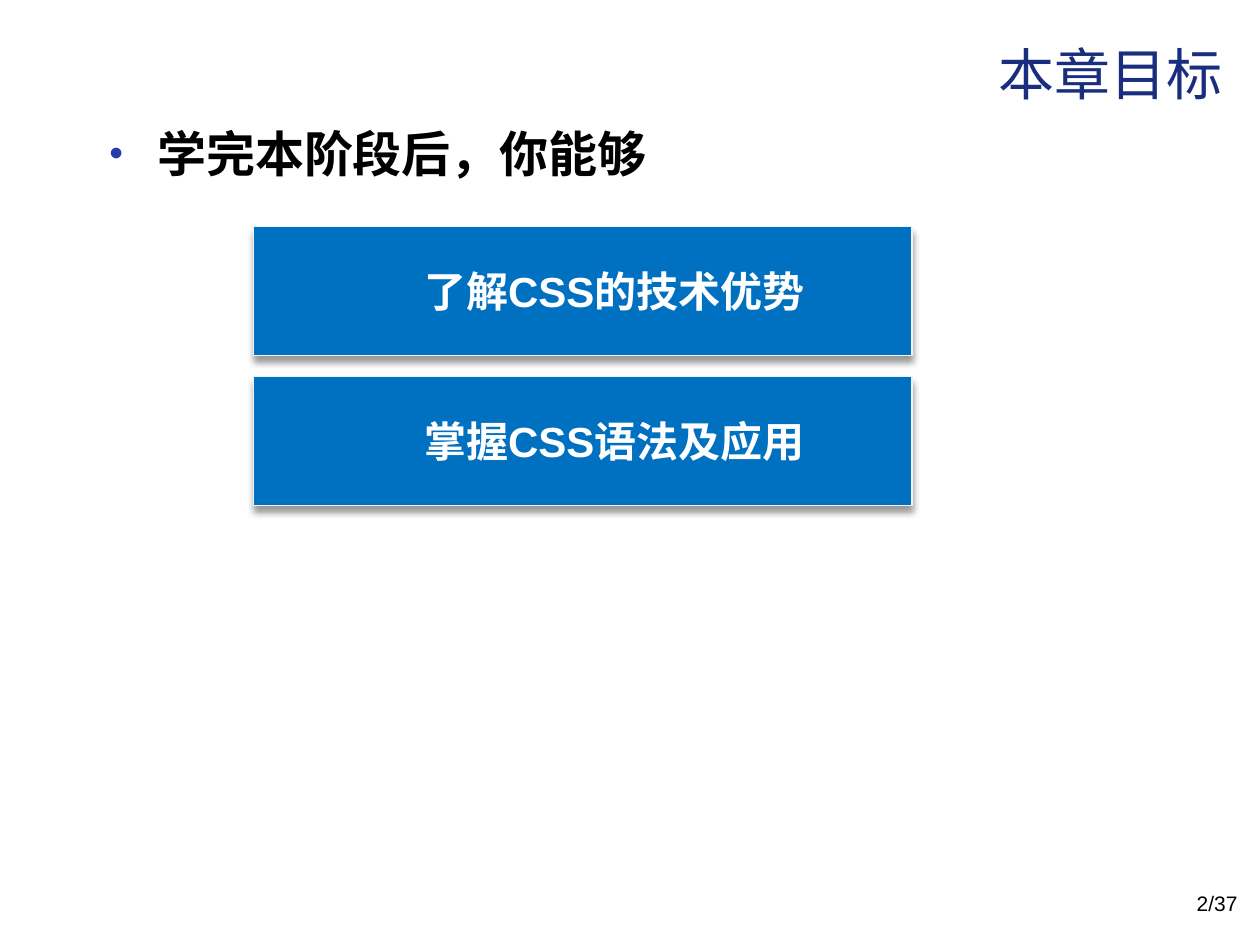
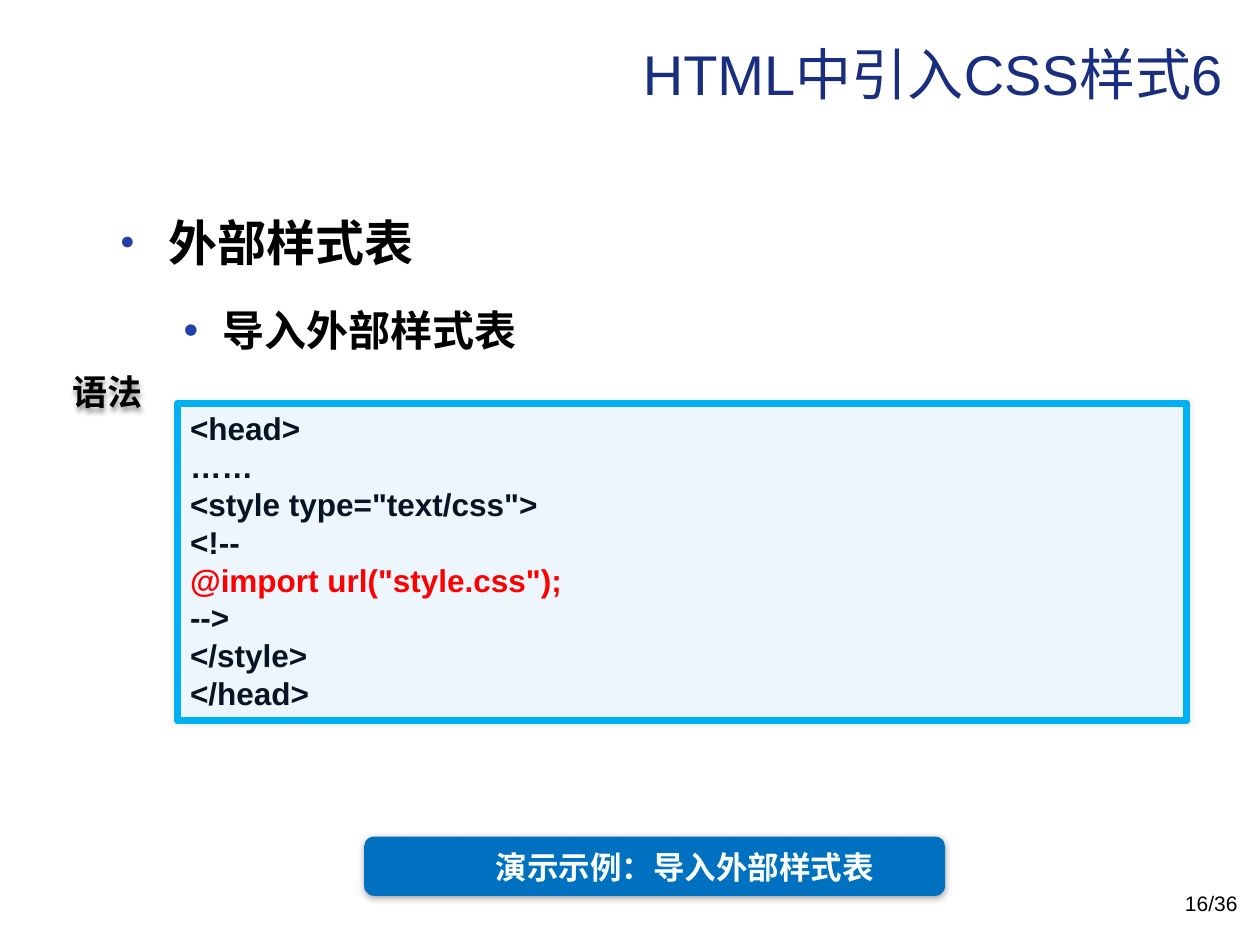
from dataclasses import dataclass
from typing import Optional

from lxml import etree
from pptx import Presentation
from pptx.dml.color import RGBColor
from pptx.enum.shapes import MSO_SHAPE as Preset
from pptx.enum.text import MSO_ANCHOR as Anchor, PP_ALIGN as Align
from pptx.oxml.ns import qn
from pptx.util import Emu, Pt

EMU_PER_PX = 9144  # 100 px to the inch
COLORS = {
    "title": "1A2E7F", "text": "000000", "bullet": "233DA9", "white": "FFFFFF",
    "button_text": "FBFFFE", "blue": "0070C0", "card_line": "F2F2F2",
    "code_fill": "EDF5FD", "code_line": "00B0F0", "code": "071424",
    "highlight": "FF0000", "soft_black": "262626",
}
LATIN, CJK = "Arial", "Noto Sans CJK SC"


@dataclass(frozen=True)
class Area:
    left: int
    top: int
    width: int
    height: int


@dataclass(frozen=True)
class Style:
    size: int
    color: str = "text"
    bold: bool = True
    align: Align = Align.LEFT
    latin: str = LATIN
    east: str = CJK
    level: int = 0
    margin: int = 0
    hanging: int = 0
    before: float = 0
    line_spacing: Optional[float] = None
    bullet_percent: Optional[int] = None


@dataclass(frozen=True)
class Shadow:
    color: str
    opacity: int
    blur: int
    distance: int
    angle: int


@dataclass(frozen=True)
class Look:
    preset: Preset
    fill: str
    shadow: Shadow
    line: Optional[str] = None
    line_width: float = 0


# Text styles
TITLE = Style(32, "title", bold=False, align=Align.RIGHT)
PAGE_NUMBER = Style(12, bold=False, align=Align.RIGHT)
TOPIC = Style(28, margin=38, hanging=38, before=5.6, bullet_percent=80)
WIDE_TOPIC = Style(28, margin=38, hanging=38, before=5.6, line_spacing=1.5,
                   bullet_percent=80)
SUBTOPIC = Style(24, level=1, margin=81, hanging=31, before=4.8,
                 line_spacing=1.5, bullet_percent=100)
GOAL = Style(24, "white", align=Align.CENTER, level=1, margin=81, hanging=31,
             before=4.8)
CODE = Style(18, "code", east=LATIN)
CODE_HIGHLIGHT = Style(18, "highlight", east=LATIN)
SYNTAX_LABEL = Style(20, latin=CJK)
DEMO = Style(18, "button_text", align=Align.CENTER)

# Shape looks
LABEL_SHADOW = Shadow("text", 40, 3, 2, 90)
GOAL_CARD = Look(Preset.RECTANGLE, "blue", Shadow("text", 40, 4, 3, 90),
                 "card_line", 0.75)
CODE_PANEL = Look(Preset.ROUNDED_RECTANGLE, "code_fill",
                  Shadow("text", 10, 3, 0, 0), "code_line", 4)
DEMO_BUTTON = Look(Preset.FLOWCHART_ALTERNATE_PROCESS, "blue",
                   Shadow("soft_black", 43, 4, 1, 90))


def px(length: int) -> Emu:
    return Emu(length * EMU_PER_PX)


def bounds(area: Area) -> tuple:
    return px(area.left), px(area.top), px(area.width), px(area.height)


def rgb(name: str) -> RGBColor:
    return RGBColor.from_string(COLORS[name])


def add_node(parent, tag: str, **attributes):
    values = {key: str(value) for key, value in attributes.items()}
    return etree.SubElement(parent, qn(tag), values)


def cast_shadow(shape, shadow: Shadow) -> None:
    shape.shadow.inherit = False
    effects = shape._element.spPr.find(qn("a:effectLst"))
    outer = add_node(effects, "a:outerShdw", blurRad=Pt(shadow.blur),
                     dist=Pt(shadow.distance), dir=shadow.angle * 60000,
                     algn="ctr", rotWithShape=0)
    tint = add_node(outer, "a:srgbClr", val=COLORS[shadow.color])
    add_node(tint, "a:alpha", val=shadow.opacity * 1000)


def style_paragraph(para, style: Style) -> None:
    para.alignment = style.align
    para.level = style.level
    para.space_before = Pt(style.before)
    if style.line_spacing:
        para.line_spacing = style.line_spacing
    properties = para._p.get_or_add_pPr()
    properties.set("marL", str(px(style.margin)))
    properties.set("indent", str(px(-style.hanging)))
    if style.bullet_percent:
        tint = add_node(properties, "a:buClr")
        add_node(tint, "a:srgbClr", val=COLORS["bullet"])
        add_node(properties, "a:buSzPct", val=style.bullet_percent * 1000)
        add_node(properties, "a:buFont", typeface=LATIN)
        add_node(properties, "a:buChar", char="•")
    font = para.font
    font.size, font.bold, font.name = Pt(style.size), style.bold, style.latin
    font.color.rgb = rgb(style.color)
    add_node(properties.find(qn("a:defRPr")), "a:ea", typeface=style.east)


def write(shape, lines: list[tuple[str, Style]], anchor: Anchor = Anchor.TOP,
          wrap: bool = True) -> None:
    frame = shape.text_frame
    frame.word_wrap, frame.vertical_anchor = wrap, anchor
    for index, (text, style) in enumerate(lines):
        para = frame.add_paragraph() if index else frame.paragraphs[0]
        para.add_run().text = text
        style_paragraph(para, style)


def add_text(page, area: Area, lines: list[tuple[str, Style]],
             anchor: Anchor = Anchor.TOP, wrap: bool = True):
    box = page.shapes.add_textbox(*bounds(area))
    write(box, lines, anchor, wrap)
    return box


def add_panel(page, area: Area, look: Look):
    panel = page.shapes.add_shape(look.preset, *bounds(area))
    panel.fill.solid()
    panel.fill.fore_color.rgb = rgb(look.fill)
    if look.line:
        panel.line.color.rgb = rgb(look.line)
        panel.line.width = Pt(look.line_width)
    else:
        panel.line.fill.background()
    cast_shadow(panel, look.shadow)
    return panel


def add_page(deck, title: str, number: str):
    """Blank page with the shared title and page number."""
    page = deck.slides.add_slide(deck.slide_layouts[6])
    add_text(page, Area(80, 9, 900, 98), [(title, TITLE)], Anchor.MIDDLE)
    add_text(page, Area(759, 702, 233, 40), [(number, PAGE_NUMBER)])
    return page


def build_goals(deck) -> None:
    page = add_page(deck, "本章目标", "2/37")
    add_text(page, Area(77, 93, 836, 87), [("学完本阶段后，你能够", TOPIC)])
    # Goal cards, stacked at an equal step
    for row, goal in enumerate(["了解CSS的技术优势", "掌握CSS语法及应用"]):
        card = add_panel(page, Area(201, 180 + row * 119, 523, 102), GOAL_CARD)
        write(card, [(goal, GOAL)], Anchor.MIDDLE)


def build_import(deck) -> None:
    page = add_page(deck, "HTML中引入CSS样式6", "16/36")
    add_text(page, Area(86, 140, 836, 142),
             [("外部样式表", WIDE_TOPIC), ("导入外部样式表", SUBTOPIC)])
    # Code panel and its label
    code = ["<head>", "……", '<style type="text/css">', "<!--",
            '@import url("style.css");', "-->", "</style>", "</head>"]
    panel = add_panel(page, Area(141, 320, 801, 252), CODE_PANEL)
    panel.adjustments[0] = 0
    write(panel, [(line, CODE_HIGHLIGHT if line.startswith("@") else CODE)
                  for line in code])
    label = add_text(page, Area(48, 289, 77, 44), [("语法", SYNTAX_LABEL)],
                     Anchor.MIDDLE, wrap=False)
    cast_shadow(label, LABEL_SHADOW)
    # Demo button
    add_panel(page, Area(289, 664, 461, 47), DEMO_BUTTON)
    add_text(page, Area(382, 668, 323, 40),
             [("演示示例：导入外部样式表", DEMO)], wrap=False)


def main() -> None:
    deck = Presentation()
    deck.slide_width, deck.slide_height = px(1000), px(750)
    build_goals(deck)
    build_import(deck)
    deck.save("out.pptx")


if __name__ == "__main__":
    main()
